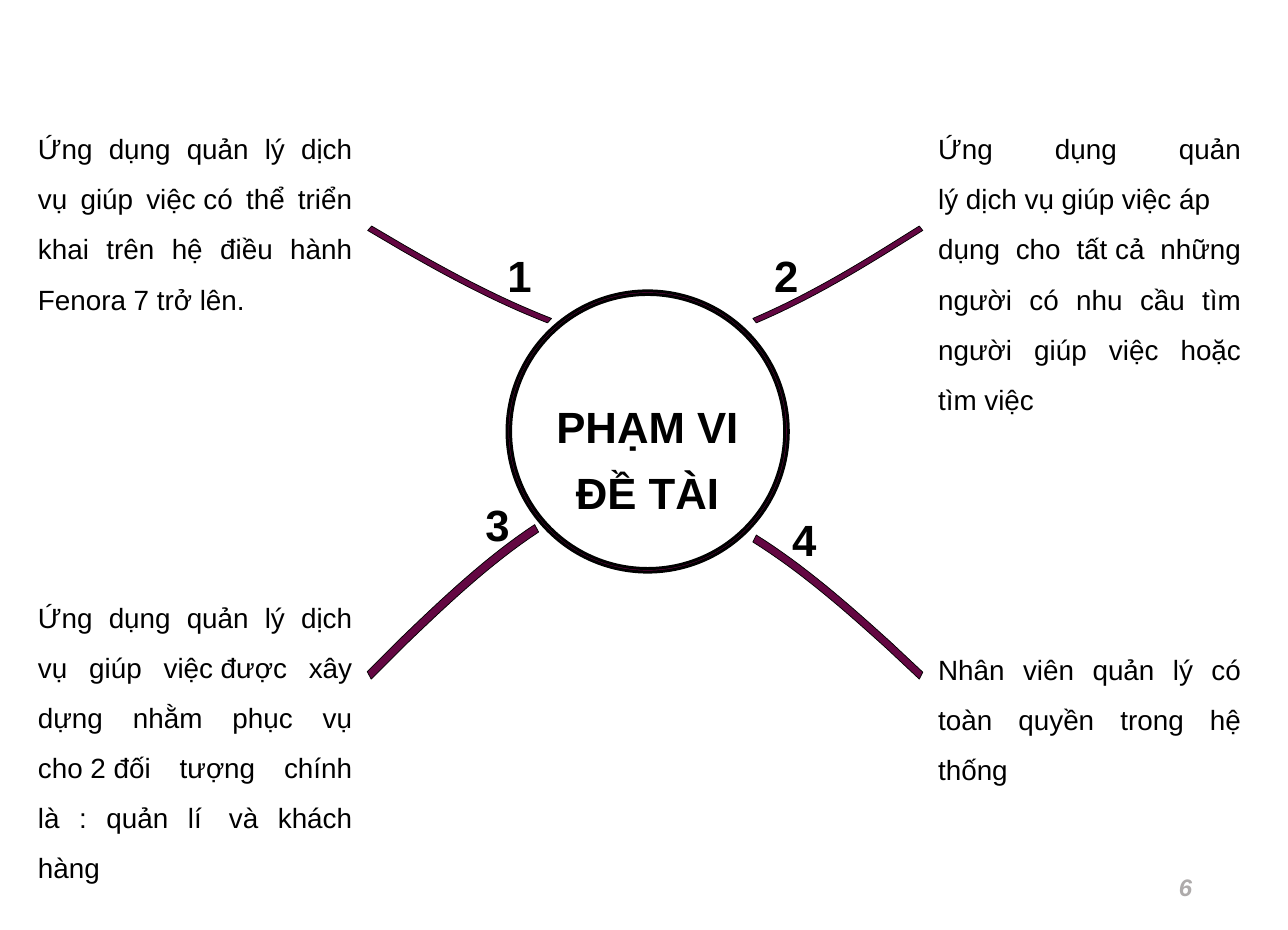
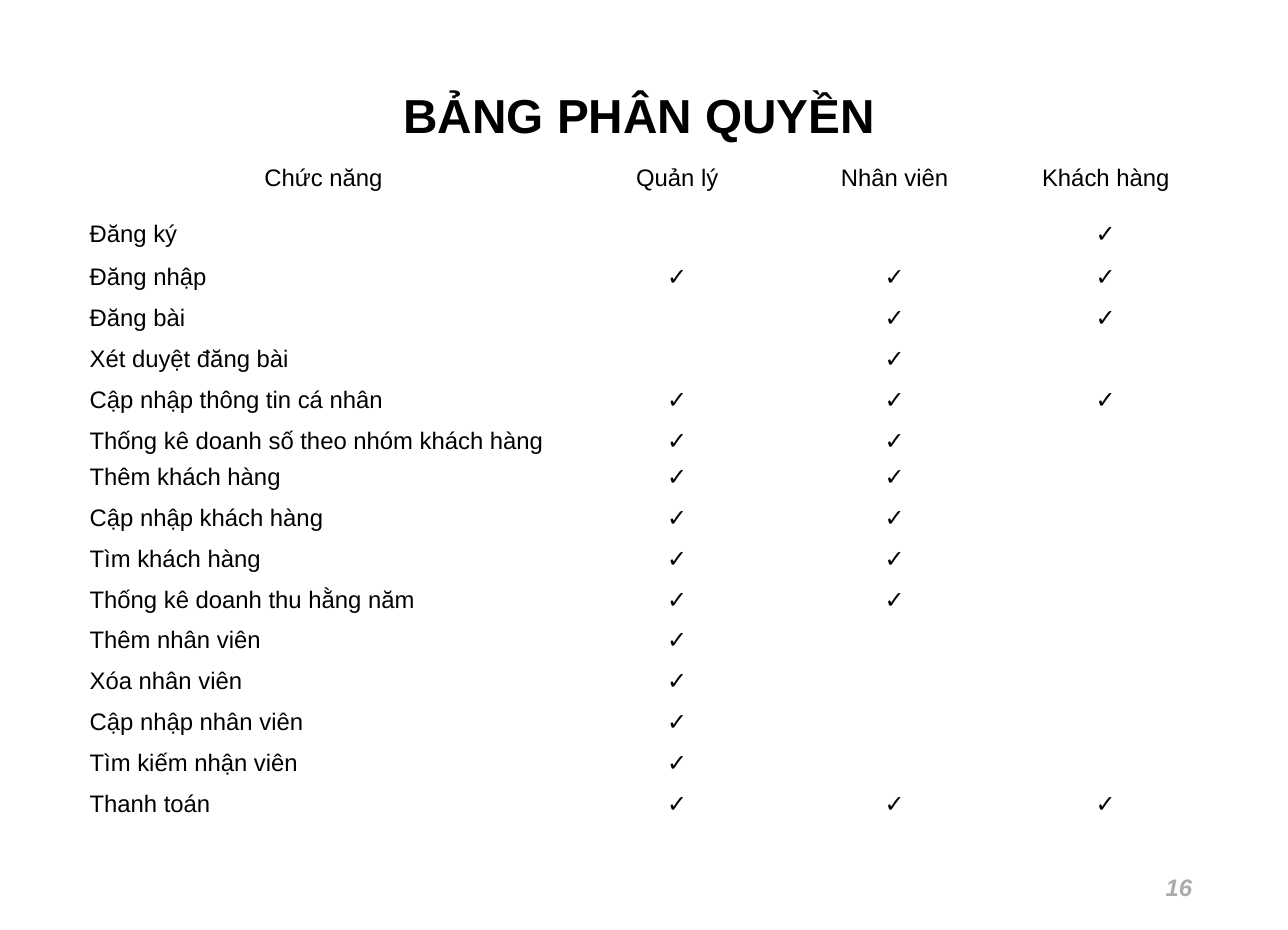
"""Build the project scope slide and the permission table slide; a tilde in a text stands for a no-break space."""
from dataclasses import dataclass
from typing import NamedTuple

from pptx import Presentation
from pptx.dml.color import RGBColor
from pptx.enum.shapes import MSO_SHAPE as Preset
from pptx.enum.text import MSO_ANCHOR as Anchor
from pptx.enum.text import MSO_AUTO_SIZE as AutoSize
from pptx.enum.text import PP_ALIGN as Align
from pptx.slide import Slide
from pptx.text.text import TextFrame
from pptx.util import Pt

BLACK = RGBColor(0x00, 0x00, 0x00)
WHITE = RGBColor(0xFF, 0xFF, 0xFF)
PLUM = RGBColor(0x63, 0x07, 0x42)
GREY = RGBColor(0xAE, 0xAB, 0xAB)
FONT = "Arial"
NO_BREAK_SPACE = chr(160)
RING_SIZE, RING_WIDTH = 283, 3.6
CURVE_STEPS = 16
CELL_MARGIN = 10.8
MANAGER, STAFF, CUSTOMER = ROLES = ("Quản lý", "Nhân viên", "Khách hàng")
COLUMN_WIDTHS = (492, 220, 217.5, 207.5)
HEADER_HEIGHT, ROW_HEIGHT = 57, 41.2


class Point(NamedTuple):
    x: float
    y: float


class Box(NamedTuple):
    left: float
    top: float
    width: float
    height: float


@dataclass(frozen=True)
class Style:
    size: float
    bold: bool = False
    italic: bool = False
    color: RGBColor = BLACK
    align: Align = Align.LEFT
    spacing: float = 1.0


@dataclass(frozen=True)
class Branch:
    """A straight tip and a Bézier part; the other edge is shifted."""
    tip: Point
    knee: Point
    pull_out: Point
    pull_in: Point
    hub: Point
    shift: Point


@dataclass(frozen=True)
class Scope:
    number: str
    number_box: Box
    number_align: Align
    text: str
    text_box: Box
    branch: Branch


@dataclass(frozen=True)
class Permission:
    task: str
    roles: tuple[str, ...]
    height: float = ROW_HEIGHT


TITLE = Style(48, bold=True, align=Align.CENTER, spacing=1.5)
HUB = Style(44, bold=True, align=Align.CENTER, spacing=1.25)
BODY = Style(28, align=Align.JUSTIFY, spacing=1.5)
PAGE_NUMBER = Style(24, bold=True, italic=True, color=GREY, align=Align.RIGHT)
TASK = Style(24, spacing=1.07)
HEADING = Style(24, align=Align.CENTER, spacing=1.07)
TICK = Style(24, bold=True, align=Align.CENTER, spacing=1.07)

SCOPES = (
    Scope("1", Box(510.5, 260.5, 95, 36.5), Align.LEFT,
          "Ứng dụng quản lý dịch vụ giúp việc~có thể triển khai trên hệ điều hành Fenora 7 trở lên.",
          Box(38.2, 116, 316, 197),
          Branch(Point(374, 227.5), Point(408, 247.5), Point(455, 274.5),
                 Point(502.5, 300), Point(555, 320.5), Point(-4, 4.5))),
    Scope("2", Box(757.5, 260.5, 46, 36.5), Align.RIGHT,
          "Ứng dụng quản lý~dịch~vụ~giúp~việc~áp dụng cho tất~cả những người có nhu cầu tìm người giúp việc hoặc tìm~việc",
          Box(944, 116, 304.5, 299),
          Branch(Point(925, 227.5), Point(893, 247.5), Point(849.5, 274.5),
                 Point(805.5, 300), Point(757.5, 320.5), Point(3.5, 4.5))),
    Scope("3", Box(488.5, 511.5, 42.5, 36.5), Align.LEFT,
          "Ứng dụng quản lý dịch vụ giúp việc~được xây dựng nhằm phục vụ cho~2~đối tượng chính là : quản lí~ và khách hàng",
          Box(38.2, 587.5, 316, 248.5),
          Branch(Point(369.5, 676), Point(401, 644.5), Point(445, 602),
                 Point(489.5, 560), Point(538, 528), Point(4, 7.5))),
    Scope("4", Box(780, 526.5, 41.5, 36.5), Align.RIGHT,
          "Nhân viên quản lý có toàn quyền trong hệ thống",
          Box(944, 640, 304.5, 146),
          Branch(Point(925, 683.5), Point(893, 653.5), Point(849.5, 614),
                 Point(805.5, 575.5), Point(757.5, 545.5), Point(3.5, -7))),
)

PERMISSIONS = (
    Permission("Đăng ký", (CUSTOMER,), 43),
    Permission("Đăng nhập", ROLES),
    Permission("Đăng bài", (STAFF, CUSTOMER)),
    Permission("Xét duyệt đăng bài", (STAFF,)),
    Permission("Cập nhập thông tin cá nhân", ROLES),
    Permission("Thống kê doanh số theo nhóm khách hàng", (MANAGER, STAFF), 36.3),
    Permission("Thêm khách hàng", (MANAGER, STAFF)),
    Permission("Cập nhập khách hàng", (MANAGER, STAFF)),
    Permission("Tìm khách hàng", (MANAGER, STAFF)),
    Permission("Thống kê doanh thu hằng năm", (MANAGER, STAFF)),
    Permission("Thêm nhân viên", (MANAGER,)),
    Permission("Xóa nhân viên", (MANAGER,)),
    Permission("Cập nhập nhân viên", (MANAGER,)),
    Permission("Tìm kiếm nhận viên", (MANAGER,)),
    Permission("Thanh toán", ROLES),
)


def write(frame: TextFrame, text: str, style: Style) -> None:
    frame.text = text.replace("~", NO_BREAK_SPACE)
    paragraph = frame.paragraphs[0]
    paragraph.alignment = style.align
    paragraph.line_spacing = style.spacing
    for run in paragraph.runs:
        run.font.name = FONT
        run.font.size = Pt(style.size)
        run.font.bold = style.bold
        run.font.italic = style.italic
        run.font.color.rgb = style.color


def fit_text(frame: TextFrame, text: str, style: Style) -> None:
    frame.margin_left = frame.margin_right = 0
    frame.margin_top = frame.margin_bottom = 0
    frame.word_wrap = True
    frame.auto_size = AutoSize.SHAPE_TO_FIT_TEXT
    frame.vertical_anchor = Anchor.TOP
    write(frame, text, style)


def add_text(slide: Slide, box: Box, text: str, style: Style) -> None:
    fit_text(slide.shapes.add_textbox(*map(Pt, box)).text_frame, text, style)


def add_label(slide: Slide, box: Box, text: str, style: Style) -> None:
    label = slide.shapes.add_shape(Preset.RECTANGLE, *map(Pt, box))
    label.shadow.inherit = False
    label.fill.background()
    label.line.color.rgb = WHITE
    label.line.width = Pt(0.75)
    fit_text(label.text_frame, text, style)


def add_page_number(slide: Slide, number: int) -> None:
    frame = slide.shapes.add_textbox(Pt(915.2), Pt(867.5), Pt(291.5), Pt(50)).text_frame
    frame.word_wrap = True
    frame.vertical_anchor = Anchor.MIDDLE
    write(frame, str(number), PAGE_NUMBER)


def add_ring(slide: Slide) -> None:
    ring = slide.shapes.add_shape(Preset.DONUT, Pt(510.2), Pt(292.8), Pt(RING_SIZE), Pt(RING_SIZE))
    ring.adjustments[0] = RING_WIDTH / RING_SIZE
    ring.shadow.inherit = False
    ring.fill.solid()
    ring.fill.fore_color.rgb = PLUM
    ring.line.color.rgb = BLACK
    ring.line.width = Pt(3)


def bezier(a: Point, b: Point, c: Point, d: Point, t: float) -> Point:
    u = 1 - t
    weights = (u ** 3, 3 * u * u * t, 3 * u * t * t, t ** 3)
    return Point(*(sum(w * v for w, v in zip(weights, axis)) for axis in zip(a, b, c, d)))


def add_branch(slide: Slide, branch: Branch) -> None:
    edge = [branch.tip] + [
        bezier(branch.knee, branch.pull_out, branch.pull_in, branch.hub, step / CURVE_STEPS)
        for step in range(CURVE_STEPS + 1)
    ]
    far_edge = [Point(p.x + branch.shift.x, p.y + branch.shift.y) for p in reversed(edge)]
    outline = [(Pt(p.x), Pt(p.y)) for p in edge + far_edge]
    builder = slide.shapes.build_freeform(*outline[0])
    builder.add_line_segments(outline[1:], close=True)
    band = builder.convert_to_shape()
    band.shadow.inherit = False
    band.fill.solid()
    band.fill.fore_color.rgb = PLUM
    band.line.color.rgb = BLACK
    band.line.width = Pt(0.75)


def draw_scope(slide: Slide) -> None:
    add_ring(slide)
    add_label(slide, Box(551.8, 389.5, 199.5, 107.5), "PHẠM VI ĐỀ TÀI", HUB)
    for scope in SCOPES:
        number_style = Style(44, bold=True, align=scope.number_align, spacing=0.8)
        add_label(slide, scope.number_box, scope.number, number_style)
        add_text(slide, scope.text_box, scope.text, BODY)
    for scope in SCOPES:
        add_branch(slide, scope.branch)
    add_page_number(slide, 6)


def draw_permissions(slide: Slide) -> None:
    add_text(slide, Box(388, 57.5, 524, 65.5), "BẢNG PHÂN QUYỀN~", TITLE)
    heights = (HEADER_HEIGHT, *(permission.height for permission in PERMISSIONS))
    grid = slide.shapes.add_table(
        len(heights), len(COLUMN_WIDTHS), Pt(79.4), Pt(163.8),
        Pt(sum(COLUMN_WIDTHS)), Pt(sum(heights))).table
    grid.first_row = grid.horz_banding = False
    for column, width in zip(grid.columns, COLUMN_WIDTHS):
        column.width = Pt(width)
    for row, height in zip(grid.rows, heights):
        row.height = Pt(height)
    for cell in grid.iter_cells():
        cell.fill.background()
        cell.margin_left = cell.margin_right = Pt(CELL_MARGIN)
        cell.margin_top = cell.margin_bottom = 0
    for column, heading in enumerate(("Chức năng", *ROLES)):
        write(grid.cell(0, column).text_frame, heading, HEADING)
    for row, permission in enumerate(PERMISSIONS, start=1):
        write(grid.cell(row, 0).text_frame, permission.task, TASK)
        for role in permission.roles:
            write(grid.cell(row, ROLES.index(role) + 1).text_frame, "✓", TICK)
    add_page_number(slide, 16)


def main() -> None:
    deck = Presentation()
    deck.slide_width, deck.slide_height = Pt(1296), Pt(936)
    for draw in (draw_scope, draw_permissions):
        draw(deck.slides.add_slide(deck.slide_layouts[6]))
    deck.save("out.pptx")


if __name__ == "__main__":
    main()
